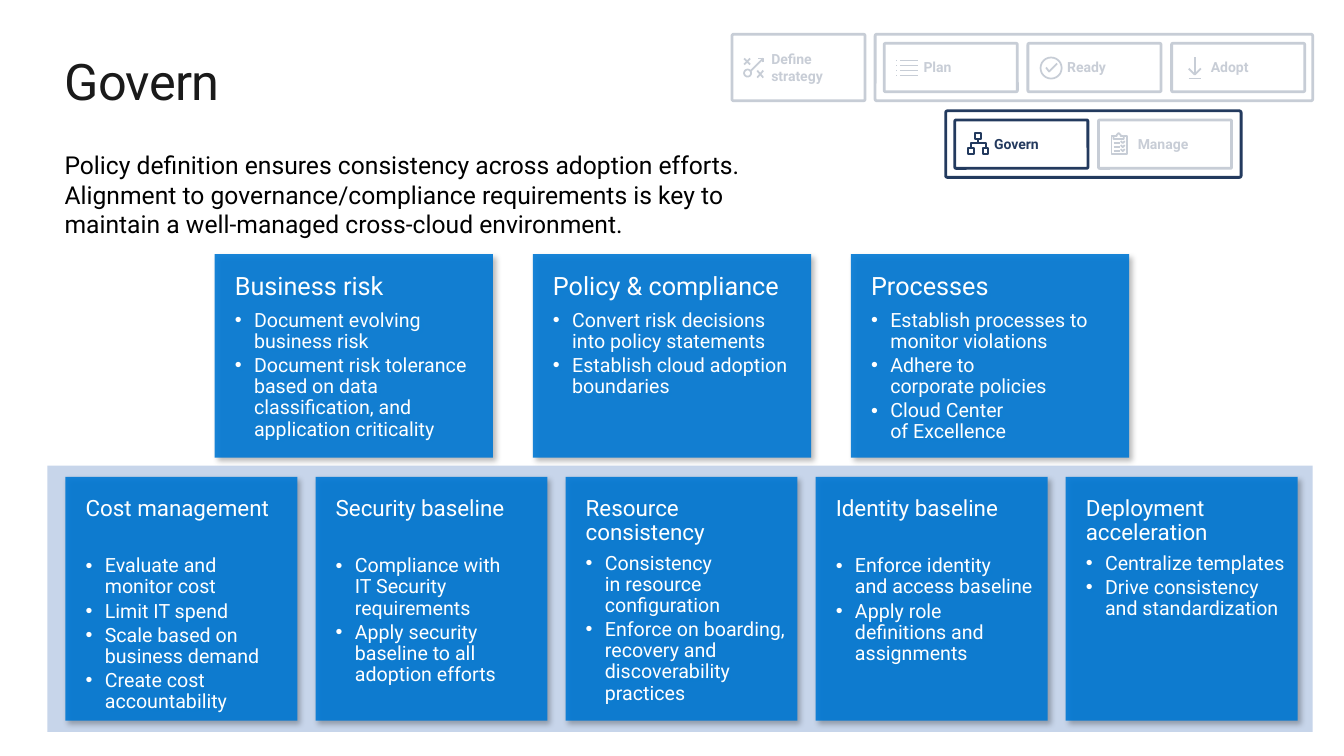
from dataclasses import dataclass
from math import cos, pi, sin

from lxml import etree
from pptx import Presentation
from pptx.dml.color import RGBColor
from pptx.enum.shapes import MSO_SHAPE
from pptx.enum.text import MSO_ANCHOR, PP_ALIGN
from pptx.oxml.ns import qn
from pptx.util import Inches, Pt

RECT, ROUND = MSO_SHAPE.RECTANGLE, MSO_SHAPE.ROUNDED_RECTANGLE
TOP, LEFT = MSO_ANCHOR.TOP, PP_ALIGN.LEFT


@dataclass(frozen=True)
class Theme:
    font: str = "Roboto"
    white: str = "FFFFFF"
    black: str = "000000"
    ink: str = "1A1A1A"
    navy: str = "233A5E"
    label: str = "243A5E"
    blue: str = "0078D4"
    pale: str = "C7D5EA"
    title: float = 36
    intro: float = 17.6
    large: float = 18
    head: float = 16
    body: float = 14
    small: float = 10


THEME = Theme()


def ring(x, y, r):
    turns = [pi * step / 12 for step in range(25)]
    return [(x + r * cos(turn), y + r * sin(turn)) for turn in turns]


def square(x, y, w, h):
    return [(x, y), (x + w, y), (x + w, y + h), (x, y + h), (x, y)]


ICONS = {
    "Define strategy": [
        [(18, 30), (12, 24)], [(18, 24), (12, 30)], [(31, 43), (25, 36)],
        [(31, 36), (25, 43)], ring(15.5, 38.5, 3.5), [(18, 37), (31, 24)],
        [(31, 28), (31, 24), (26, 24)]],
    "Plan": [[(a, y), (b, y)] for y in (17, 22, 27, 32)
             for a, b in ((16, 33), (12, 13))],
    "Ready": [ring(23, 24.5, 10.5), [(18, 24), (21, 28), (29, 20)]],
    "Adopt": [[(29, 25), (23, 31), (17, 25)], [(23, 31), (23, 14)],
              [(17, 35), (29, 35)]],
    "Govern": [square(13, 28, 6, 6), square(28, 28, 5, 6), square(20, 13, 6, 6),
               [(23, 19), (23, 23)], [(31, 28), (31, 23), (16, 23), (16, 28)]],
    "Manage": [
        [(18, 16), (18, 15), (20, 13), (22, 15), (22, 16), (25, 16), (25, 19),
         (15, 19), (15, 16), (18, 16)],
        [(15, 16), (13, 16), (13, 34), (28, 34), (28, 16), (25, 16)],
        *[[(15, y), (21, y)] for y in (23, 27, 31)],
        *[[(22, y - 2), (24, y), (26, y - 2)] for y in (23, 27, 31)]],
}

RISKS = [
    ("Business risk", 6.3, [
        "Document evolving business risk",
        "Document risk tolerance based on data classification, and application criticality"]),
    ("Policy & compliance", 6.3, [
        "Convert risk decisions into policy statements",
        "Establish cloud adoption boundaries"]),
    ("Processes", 6.3, [
        "Establish processes to\nmonitor violations",
        "Adhere to\ncorporate policies",
        "Cloud Center\nof Excellence"]),
]
BASES = [
    ("Cost management", 24.8, [
        "Evaluate and monitor cost", "Limit IT spend",
        "Scale based on\nbusiness demand", "Create cost accountability"]),
    ("Security baseline", 24.8, [
        "Compliance with\nIT Security requirements",
        "Apply security baseline to all adoption efforts"]),
    ("Resource consistency", 5.6, [
        "Consistency\nin resource configuration",
        "Enforce on boarding, recovery and discoverability practices"]),
    ("Identity baseline", 24.8, [
        "Enforce identity\nand access baseline",
        "Apply role definitions and assignments"]),
    ("Deployment acceleration", 5.6, [
        "Centralize templates", "Drive consistency and standardization"]),
]


def assign(thing, **values):
    for name, value in values.items():
        setattr(thing, name, value)


def paint(shape, fill=None, alpha=100, line=None, width=2):
    shape.shadow.inherit = False
    if fill:
        shape.fill.solid()
        shape.fill.fore_color.rgb = RGBColor.from_string(fill)
        tone = shape._element.spPr.find(".//" + qn("a:srgbClr"))
        if alpha < 100:
            etree.SubElement(tone, qn("a:alpha"), val=str(alpha * 1000))
    else:
        shape.fill.background()
    if line:
        shape.line.color.rgb = RGBColor.from_string(line)
        shape.line.width = Pt(width)
    else:
        shape.line.fill.background()


def block(slide, box, kind=RECT, **look):
    shape = slide.shapes.add_shape(kind, *map(Inches, box))
    if kind == ROUND:
        shape.adjustments[0] = 0.025
    paint(shape, **look)
    return shape


def shade(shape):
    effects = shape._element.spPr.find(qn("a:effectLst"))
    outer = etree.SubElement(effects, qn("a:outerShdw"), blurRad=str(Pt(4)),
                             dist=str(Pt(3)), dir="2700000", algn="tl", rotWithShape="0")
    tone = etree.SubElement(outer, qn("a:srgbClr"), val=THEME.black)
    etree.SubElement(tone, qn("a:alpha"), val="30000")


def inset(frame, left, top, right, low):
    assign(frame, word_wrap=True, vertical_anchor=TOP,
           margin_left=Inches(left), margin_top=Inches(top),
           margin_right=Inches(right), margin_bottom=Inches(low))


def write(para, text, size, color, bold=False, **format):
    para.text = text
    assign(para, alignment=LEFT, **format)
    for run in para.runs:
        assign(run.font, name=THEME.font, size=Pt(size), bold=bold)
        run.font.color.rgb = RGBColor.from_string(color)


def label(slide, box, pad, text, size, color, bold=False):
    frame = slide.shapes.add_textbox(*map(Inches, box)).text_frame
    inset(frame, *pad)
    write(frame.paragraphs[0], text, size, color, bold)
    return frame.paragraphs[0]


def icon(slide, x, y, strokes):
    pen = slide.shapes.build_freeform(
        *[10 * n for n in strokes[0][0]], scale=Inches(1) / 1000)
    for stroke in strokes:
        points = [(10 * a, 10 * b) for a, b in stroke]
        pen.move_to(*points[0])
        pen.add_line_segments(points[1:], close=False)
    paint(pen.convert_to_shape(Inches(x), Inches(y)), line=THEME.navy, width=1.25)


def tile(slide, box, name, tall=0.17):
    x, y, w, h = box
    block(slide, box, ROUND, fill=THEME.white, line=THEME.navy)
    icon(slide, x, y, ICONS[name])
    label(slide, (x - 0.01, y + (h - tall) / 2, w + 0.02, tall),
          (0.4, 0, 0, 0), name, THEME.small, THEME.label, True)


def group(slide, box, names):
    x, y, w, h = box
    block(slide, box, ROUND, line=THEME.navy)
    for spot, name in enumerate(names):
        tile(slide, (x + 0.09 + 1.425 * spot, y + 0.09, 1.32, 0.48), name)


def stages(slide, x, y):
    tile(slide, (x, y, 1.32, 0.66), "Define strategy", 0.34)
    group(slide, (x + 1.42, y, 4.34, 0.66), ["Plan", "Ready", "Adopt"])
    group(slide, (x + 2.12, y + 0.76, 2.93, 0.66), ["Govern", "Manage"])
    for veil in ((x - 0.1, y - 0.1, 5.9, 0.81), (x + 3.62, y + 0.81, 1.38, 0.58)):
        block(slide, veil, fill=THEME.white, alpha=75)


def card(slide, box, title, gap, points, size):
    shape = block(slide, box, fill=THEME.blue, alpha=90)
    shade(shape)
    frame = shape.text_frame
    inset(frame, 0.2, 0.2, 0.1, 0)
    write(frame.paragraphs[0], title, size, THEME.white,
          line_spacing=0.9, space_after=Pt(gap))
    for point in points:
        para = frame.add_paragraph()
        props = para._p.get_or_add_pPr()
        props.set("marL", str(Inches(0.19)))
        props.set("indent", str(-Inches(0.19)))
        etree.SubElement(props, qn("a:buFont"), typeface="Arial")
        etree.SubElement(props, qn("a:buChar"), char="•")
        write(para, point, THEME.body, THEME.white,
              line_spacing=0.9, space_after=Pt(2.1))


def row(slide, box, step, cards, size):
    x, y, w, h = box
    for spot, (title, gap, points) in enumerate(cards):
        card(slide, (x + step * spot, y, w, h), title, gap, points, size)


def main():
    deck = Presentation()
    assign(deck, slide_width=Inches(13.33), slide_height=Inches(7.5))
    slide = deck.slides.add_slide(deck.slide_layouts[6])
    block(slide, (0.47, 4.62, 12.55, 2.64), fill=THEME.pale)
    title = label(slide, (0.64, 0.5, 6, 0.61), (0, 0, 0, 0),
                  "Govern", THEME.title, THEME.ink)
    title.runs[0].font._element.set("spc", "-50")
    label(slide, (0.64, 1.44, 7.27, 0.99), (0, 0.05, 0.1, 0.05),
          "Policy definition ensures consistency across adoption efforts. "
          "Alignment to governance/compliance requirements is key to maintain "
          "a well-managed cross-cloud environment.", THEME.intro, THEME.black)
    stages(slide, 7.26, 0.34)
    row(slide, (0.65, 4.73, 2.3, 2.42), 2.48, BASES, THEME.head)
    row(slide, (2.13, 2.52, 2.76, 2.02), 3.155, RISKS, THEME.large)
    deck.save("out.pptx")


if __name__ == "__main__":
    main()
